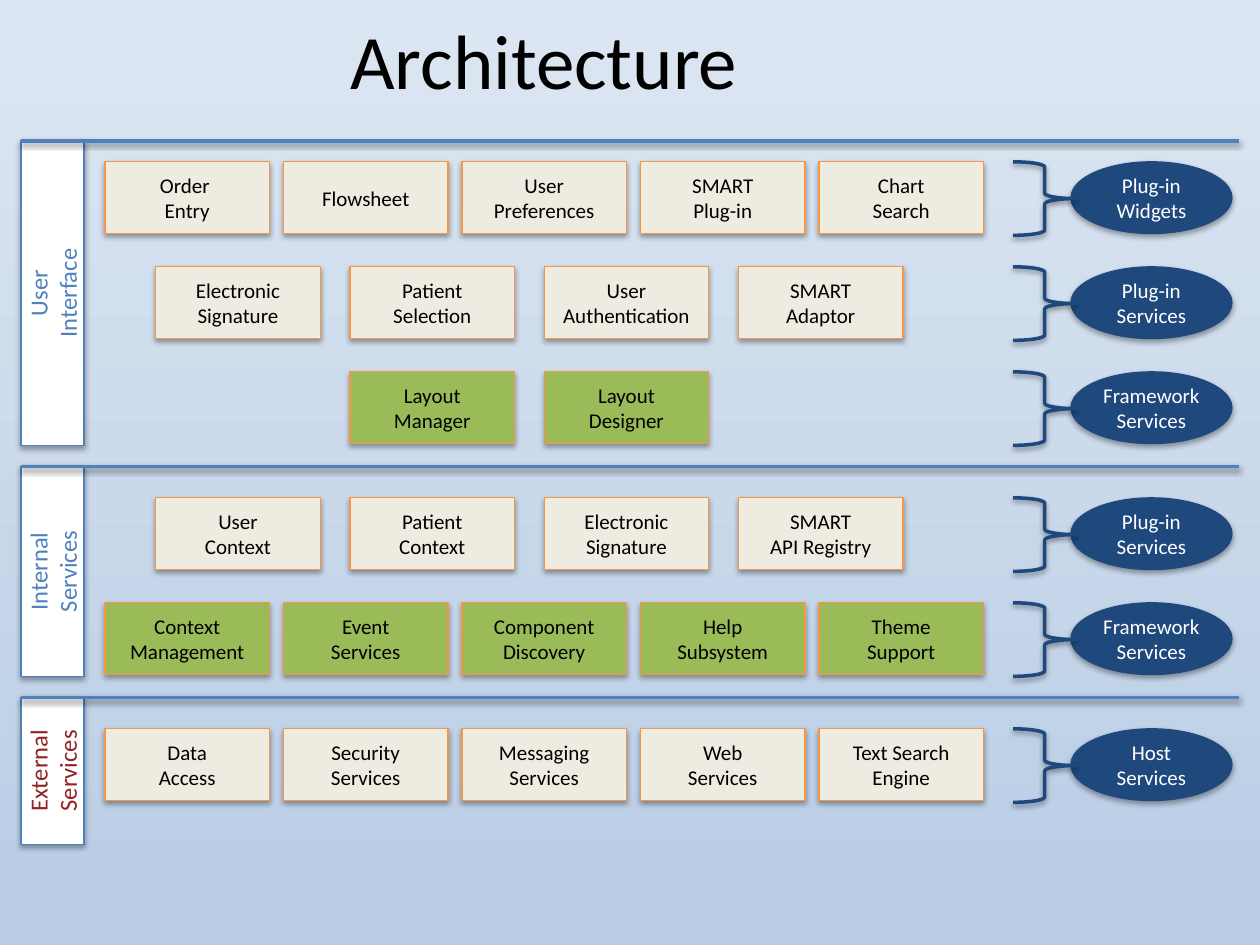
import pptx
import pptx.util
import pptx.dml.color
import pptx.enum.shapes
import pptx.enum.text
import pptx.oxml
import pptx.oxml.ns

Pt = pptx.util.Pt
KIND = pptx.enum.shapes.MSO_SHAPE
FONT = "Calibri"
BLUE, NAVY, ORANGE = "4F81BD", "1F497D", "F79646"
CREAM, GREEN, WHITE, BLACK, RED = "EEECE1", "9BBB59", "FFFFFF", "000000", "922122"

# Left edge of the first box and step between boxes
FIVE = (60, 102)
FOUR = (89, 111)
PAIR = (200, 111)

# Top, height, label, label colour
BANDS = [
    (80.5, 174, "User\nInterface", BLUE),
    (266.5, 120, "Internal\nServices", BLUE),
    (398.5, 84, "External\nServices", RED),
]

# Top, grid, fill, boxes, group name
ROWS = [
    (92.5, FIVE, CREAM, ["Order \nEntry", "Flowsheet", "User Preferences",
                         "SMART\nPlug-in", "Chart\nSearch"], "Plug-in\nWidgets"),
    (152.5, FOUR, CREAM, ["Electronic\nSignature", "Patient\nSelection",
                          "User\nAuthentication", "SMART\nAdaptor"], "Plug-in\nServices"),
    (212.5, PAIR, GREEN, ["Layout\nManager", "Layout\nDesigner"], "Framework\nServices"),
    (284.5, FOUR, CREAM, ["User\nContext", "Patient\nContext", "Electronic\nSignature",
                          "SMART\nAPI Registry"], "Plug-in\nServices"),
    (344.5, FIVE, GREEN, ["Context\nManagement", "Event\nServices", "Component\nDiscovery",
                          "Help\nSubsystem", "Theme\nSupport"], "Framework\nServices"),
    (416.5, FIVE, CREAM, ["Data\nAccess", "Security\nServices", "Messaging\nServices",
                          "Web\nServices", "Text Search Engine"], "Host\nServices"),
]


def color(code):
    return pptx.dml.color.RGBColor.from_string(code)


def shade(item, alpha, dist):
    """Add a soft shadow straight below the item."""
    item.element.spPr.append(pptx.oxml.parse_xml(
        f'<a:effectLst {pptx.oxml.ns.nsdecls("a")}>'
        f'<a:outerShdw blurRad="{Pt(3.15)}" dist="{Pt(dist)}" dir="5400000" rotWithShape="0">'
        f'<a:srgbClr val="{BLACK}"><a:alpha val="{alpha * 1000}"/></a:srgbClr>'
        '</a:outerShdw></a:effectLst>'))


def write(item, text, size, ink, wrap=True):
    frame = item.text_frame
    frame.word_wrap = wrap
    frame.vertical_anchor = pptx.enum.text.MSO_ANCHOR.MIDDLE
    frame.text = text
    for para in frame.paragraphs:
        para.alignment = pptx.enum.text.PP_ALIGN.CENTER
        para.font.name = FONT
        para.font.size = Pt(size)
        para.font.color.rgb = color(ink)


def block(slide, kind, left, top, width, height, fill, line):
    item = slide.shapes.add_shape(kind, Pt(left), Pt(top), Pt(width), Pt(height))
    item.fill.solid()
    item.fill.fore_color.rgb = color(fill)
    item.line.color.rgb = color(line)
    item.line.width = Pt(0.75)
    shade(item, 35, 1.8)
    return item


def brace(slide, left, top, width, height):
    item = slide.shapes.add_shape(KIND.RIGHT_BRACE, Pt(left), Pt(top), Pt(width), Pt(height))
    item.fill.background()
    item.line.color.rgb = color(NAVY)
    item.line.width = Pt(2)
    shade(item, 38, 1.6)


def rule(slide, top):
    item = slide.shapes.add_connector(
        pptx.enum.shapes.MSO_CONNECTOR.STRAIGHT, Pt(12), Pt(top), Pt(708), Pt(top))
    item.line.color.rgb = color(BLUE)
    item.line.width = Pt(2)
    shade(item, 38, 1.6)


def band(slide, top, height, text, ink):
    label = block(slide, KIND.RECTANGLE, 12, top, 36, height, WHITE, BLUE)
    write(label, text, 14, ink)
    label.element.txBody.bodyPr.set("vert", "vert270")
    rule(slide, top)


def row(slide, top, grid, fill, names, group):
    start, step = grid
    for i, name in enumerate(names):
        box = block(slide, KIND.RECTANGLE, start + i * step, top, 94, 41, fill, ORANGE)
        write(box, name, 12, BLACK)
    oval = block(slide, KIND.OVAL, 612, top, 92, 41, NAVY, NAVY)
    write(oval, group, 12, WHITE, wrap=False)
    brace(slide, 579, top, 36, 42)


def main():
    deck = pptx.Presentation()
    deck.slide_width, deck.slide_height = Pt(720), Pt(540)
    slide = deck.slides.add_slide(deck.slide_layouts[6])

    # Background, light at the top
    back = slide.background.fill
    back.gradient()
    back.gradient_angle = 270
    for stop, code in zip(back.gradient_stops, ("DCE6F2", "B9CDE5")):
        stop.color.rgb = color(code)

    # Title
    title = slide.shapes.add_textbox(Pt(-13), Pt(1), Pt(648), Pt(65))
    write(title, "Architecture", 44, BLACK)

    # Layers and their components
    for args in BANDS:
        band(slide, *args)
    for args in ROWS:
        row(slide, *args)

    deck.save("out.pptx")


if __name__ == "__main__":
    main()
